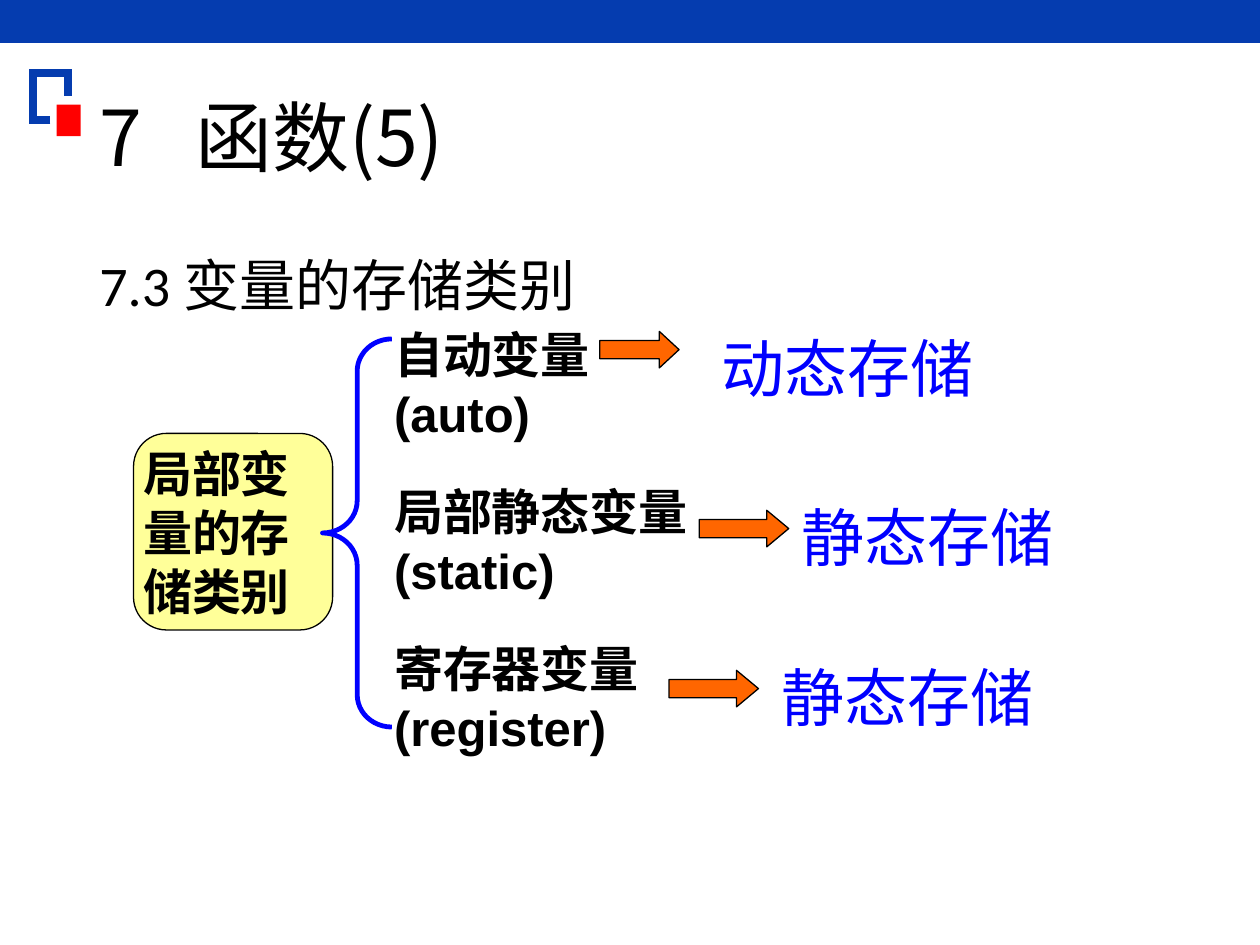
from dataclasses import dataclass
from typing import Optional

from lxml import etree
from pptx import Presentation
from pptx.dml.color import RGBColor
from pptx.enum import shapes, text
from pptx.oxml import ns
from pptx.util import Inches, Pt

BAND_BLUE = RGBColor(0x05, 0x3C, 0xAF)
BLUE = RGBColor(0x00, 0x00, 0xFF)
RED = RGBColor(0xFF, 0x00, 0x00)
YELLOW = RGBColor(0xFF, 0xFF, 0x99)
ORANGE = RGBColor(0xFF, 0x66, 0x00)
BLACK = RGBColor(0x00, 0x00, 0x00)
CJK_FONT = "Noto Sans CJK SC"
SHAPE = shapes.MSO_SHAPE


@dataclass
class Style:
    font: str
    size: float
    color: RGBColor = BLACK
    bold: bool = False


@dataclass
class Storage:
    """An arrow and the kind of storage it points to."""
    label: str
    label_at: tuple[float, float, float, float]
    arrow_at: tuple[float, float, float, float]
    head: float


BOLD_LABEL = Style("Arial", 28, bold=True)
STORAGE_LABEL = Style(CJK_FONT, 36, BLUE)

VARIABLES = ["自动变量 (auto)", "局部静态变量(static)", "寄存器变量(register)"]
STORAGES = [
    Storage("动态存储", (5.63, 2.57, 2.25, 0.47), (4.76, 2.63, 0.63, 0.29), 0.54),
    Storage("静态存储", (6.26, 3.91, 2.25, 0.47), (5.55, 4.05, 0.71, 0.29), 0.6),
    Storage("静态存储", (6.1, 5.18, 2.52, 0.47), (5.31, 5.32, 0.71, 0.29), 0.6),
]


def write(frame, lines: list[str], style: Style, gap: float = 0) -> None:
    """Fill a text frame with one paragraph per line, gap points apart."""
    for index, line in enumerate(lines):
        para = frame.paragraphs[0] if index == 0 else frame.add_paragraph()
        para.text = line
        para.alignment = text.PP_ALIGN.LEFT
        if index:
            para.space_before = Pt(gap)
        for span in para.runs:
            span.font.name = style.font
            span.font.size = Pt(style.size)
            span.font.bold = style.bold
            span.font.color.rgb = style.color


def add_text(page, at, lines: list[str], style: Style, gap: float = 0):
    box = page.shapes.add_textbox(*map(Inches, at))
    box.text_frame.word_wrap = True
    write(box.text_frame, lines, style, gap)
    return box.text_frame


def add_figure(page, kind, at, fill: Optional[RGBColor] = None,
               line: Optional[RGBColor] = None, width: float = 0.75, adjust=()):
    figure = page.shapes.add_shape(kind, *map(Inches, at))
    figure.shadow.inherit = False
    for index, value in enumerate(adjust):
        figure.adjustments[index] = value
    if fill is None:
        figure.fill.background()
    else:
        figure.fill.solid()
        figure.fill.fore_color.rgb = fill
    if line is None:
        figure.line.fill.background()
    else:
        figure.line.color.rgb = line
        figure.line.width = Pt(width)
    return figure


def add_emblem(page) -> None:
    """Draw the open blue square with the red block at its corner."""
    corners = [(0.26, 0.95), (0.26, 0.58), (0.54, 0.58), (0.54, 0.76)]
    builder = page.shapes.build_freeform(Inches(0.4), Inches(0.95))
    builder.add_line_segments([(Inches(x), Inches(y)) for x, y in corners], close=False)
    hook = builder.convert_to_shape()
    hook.shadow.inherit = False
    hook.fill.background()
    hook.line.color.rgb = BAND_BLUE
    hook.line.width = Pt(4.5)
    outline = hook.line._get_or_add_ln()
    etree.SubElement(outline, ns.qn("a:miter"), lim="800000")
    add_figure(page, SHAPE.RECTANGLE, (0.45, 0.83, 0.19, 0.25), RED)


def add_heading(page) -> None:
    title = add_text(page, (0.69, 0.4, 8.62, 1.45), ["7\t函数(5)"], Style(CJK_FONT, 44))
    title.vertical_anchor = text.MSO_ANCHOR.MIDDLE
    para = title.paragraphs[0]
    para.line_spacing = 0.9
    # Tab stop between the chapter number and its name
    tabs = etree.SubElement(para._p.get_or_add_pPr(), ns.qn("a:tabLst"))
    etree.SubElement(tabs, ns.qn("a:tab"), pos=str(Inches(0.76)), algn="l")

    section = add_text(page, (0.69, 2, 8.62, 4.76), ["7.3 变量的存储类别"], Style("Calibri", 32))
    section.paragraphs[0].line_spacing = 0.9


def add_root(page) -> None:
    root = add_figure(page, SHAPE.ROUNDED_RECTANGLE, (1.06, 3.44, 1.58, 1.56),
                      YELLOW, BLACK, adjust=[0.167])
    frame = root.text_frame
    frame.margin_left = frame.margin_right = frame.margin_top = frame.margin_bottom = 0
    frame.vertical_anchor = text.MSO_ANCHOR.MIDDLE
    frame.word_wrap = True
    write(frame, ["局部变量的存储类别"], BOLD_LABEL)


def add_storage(page, storage: Storage) -> None:
    label = add_text(page, storage.label_at, [storage.label], STORAGE_LABEL)
    label.margin_right = 0
    add_figure(page, SHAPE.RIGHT_ARROW, storage.arrow_at, ORANGE, BLACK,
               adjust=[0.5, storage.head])


def main() -> None:
    deck = Presentation()
    deck.slide_width, deck.slide_height = Inches(10), Inches(7.5)
    page = deck.slides.add_slide(deck.slide_layouts[6])

    # Page decoration and headings
    add_figure(page, SHAPE.RECTANGLE, (0, 0, 10, 0.34), BAND_BLUE)
    add_emblem(page)
    add_heading(page)

    # Classification of local variables
    add_root(page)
    add_figure(page, SHAPE.LEFT_BRACE, (2.56, 2.69, 0.55, 3.08), line=BLUE,
               width=2.75, adjust=[0.465, 0.5])
    add_text(page, (3.03, 2.53, 2.6, 3.65), VARIABLES, BOLD_LABEL, gap=22.4)

    # Storage kind of each variable
    for storage in STORAGES:
        add_storage(page, storage)

    deck.save("out.pptx")


if __name__ == "__main__":
    main()
